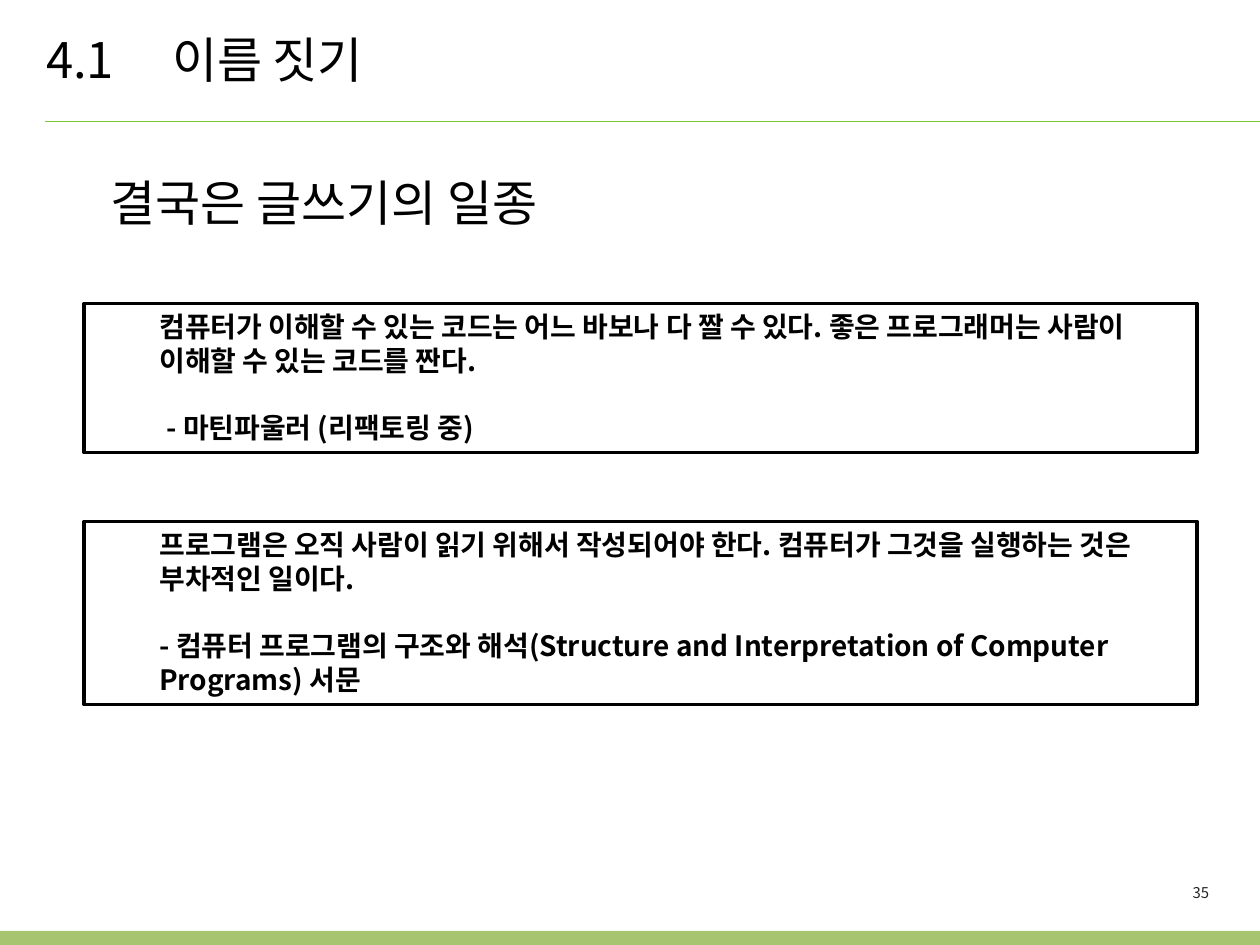
from lxml.etree import SubElement
from pptx import Presentation
from pptx.dml.color import RGBColor
from pptx.enum.shapes import MSO_CONNECTOR, MSO_SHAPE
from pptx.enum.text import MSO_ANCHOR, MSO_AUTO_SIZE, PP_ALIGN
from pptx.oxml.ns import qn
from pptx.util import Pt

FONT = "Noto Sans CJK KR"
WIDTH, HEIGHT = 720, 540
QUOTES = [
    (173.5, 85, 4,
     "컴퓨터가 이해할 수 있는 코드는 어느 바보나 다 짤 수 있다. 좋은 프로그래머는 사람이 이해할 수 있는 코드를 짠다.",
     "- 마틴파울러 (리팩토링 중)"),
    (298, 104.5, 0,
     "프로그램은 오직 사람이 읽기 위해서 작성되어야 한다. 컴퓨터가 그것을 실행하는 것은 부차적인 일이다.",
     "- 컴퓨터 프로그램의 구조와 해석(Structure and Interpretation of Computer Programs) 서문"),
]


def color(value):
    return RGBColor.from_string(value)


def place(shape, left, top, width, height):
    shape.left, shape.top = Pt(left), Pt(top)
    shape.width, shape.height = Pt(width), Pt(height)


def prepare_frame(shape, anchor=MSO_ANCHOR.TOP):
    frame = shape.text_frame
    frame.word_wrap = True
    frame.auto_size = MSO_AUTO_SIZE.NONE
    frame.vertical_anchor = anchor
    return frame


def write(paragraph, text, size, fill="000000", bold=False, align=PP_ALIGN.LEFT,
          line=None, before=0, margin=0, indent=0, level=0, tab=None, spacing=None):
    paragraph.alignment = align
    paragraph.level = level
    paragraph.space_before = Pt(before)
    if line:
        paragraph.line_spacing = Pt(line)
    properties = paragraph._p.get_or_add_pPr()
    properties.set("marL", str(Pt(margin)))
    properties.set("indent", str(Pt(indent)))
    if tab:
        tabs = SubElement(properties, qn("a:tabLst"))
        SubElement(tabs, qn("a:tab"), pos=str(Pt(tab)), algn="l")
    run = paragraph.add_run()
    run.text = text
    font = run.font
    font.size, font.bold, font.name = Pt(size), bold, FONT
    font.color.rgb = color(fill)
    run_properties = run._r.get_or_add_rPr()
    SubElement(run_properties, qn("a:ea"), typeface=FONT)
    if spacing:
        run_properties.set("spc", str(round(spacing * 100)))


def add_rectangle(slide, box, fill, outline=None):
    shape = slide.shapes.add_shape(MSO_SHAPE.RECTANGLE, *map(Pt, box))
    shape.shadow.inherit = False
    shape.fill.solid()
    shape.fill.fore_color.rgb = color(fill)
    if outline:
        shape.line.color.rgb = color(outline)
        shape.line.width = Pt(2)
    else:
        shape.line.fill.background()
    return shape


def add_header(slide, left, top, width, height):
    # Rule below the title
    rule = slide.shapes.add_connector(
        MSO_CONNECTOR.STRAIGHT, Pt(left + 6.5), Pt(69), Pt(WIDTH), Pt(69))
    rule.line.color.rgb = color("80C535")
    rule.line.width = Pt(0.25)
    SubElement(rule._element.spPr, qn("a:effectLst"))
    # Title
    title = slide.shapes.title
    place(title, left, top, width, height)
    write(prepare_frame(title).paragraphs[0], "4.1\t이름 짓기", 28,
          line=23, tab=58, spacing=-0.2)


def add_subheading(slide, *box):
    shape = slide.shapes.add_textbox(*map(Pt, box))
    write(prepare_frame(shape).paragraphs[0], "결국은 글쓰기의 일종", 28, line=52)


def add_quote(slide, box, quote, source, indent):
    frame = prepare_frame(add_rectangle(slide, box, "FFFFFF", "000000"))
    style = dict(size=16, bold=True, line=19.2, margin=36, level=1)
    write(frame.paragraphs[0], quote, **style)
    write(frame.add_paragraph(), source, before=19.2, indent=indent, **style)


def add_footer(slide, left, top, width, height):
    # Page number
    number = slide.shapes.add_textbox(Pt(548), Pt(500.5), Pt(152), Pt(19.5))
    frame = prepare_frame(number, MSO_ANCHOR.MIDDLE)
    frame.margin_right = Pt(9)
    write(frame.paragraphs[0], "35", 8.5, fill="262626", align=PP_ALIGN.RIGHT)
    # Bottom bar
    add_rectangle(slide, (left, top, width, height), "A7C571")


def main():
    presentation = Presentation()
    presentation.slide_width, presentation.slide_height = Pt(WIDTH), Pt(HEIGHT)
    slide = presentation.slides.add_slide(presentation.slide_layouts[5])
    add_header(slide, 19.5, 24, 332.5, 30)
    add_subheading(slide, 56, 76.5, 472, 53)
    for top, height, indent, quote, source in QUOTES:
        add_quote(slide, (48, top, 636, height), quote, source, indent)
    add_footer(slide, 0, 532, WIDTH, HEIGHT - 532)
    presentation.save("out.pptx")


if __name__ == "__main__":
    main()
